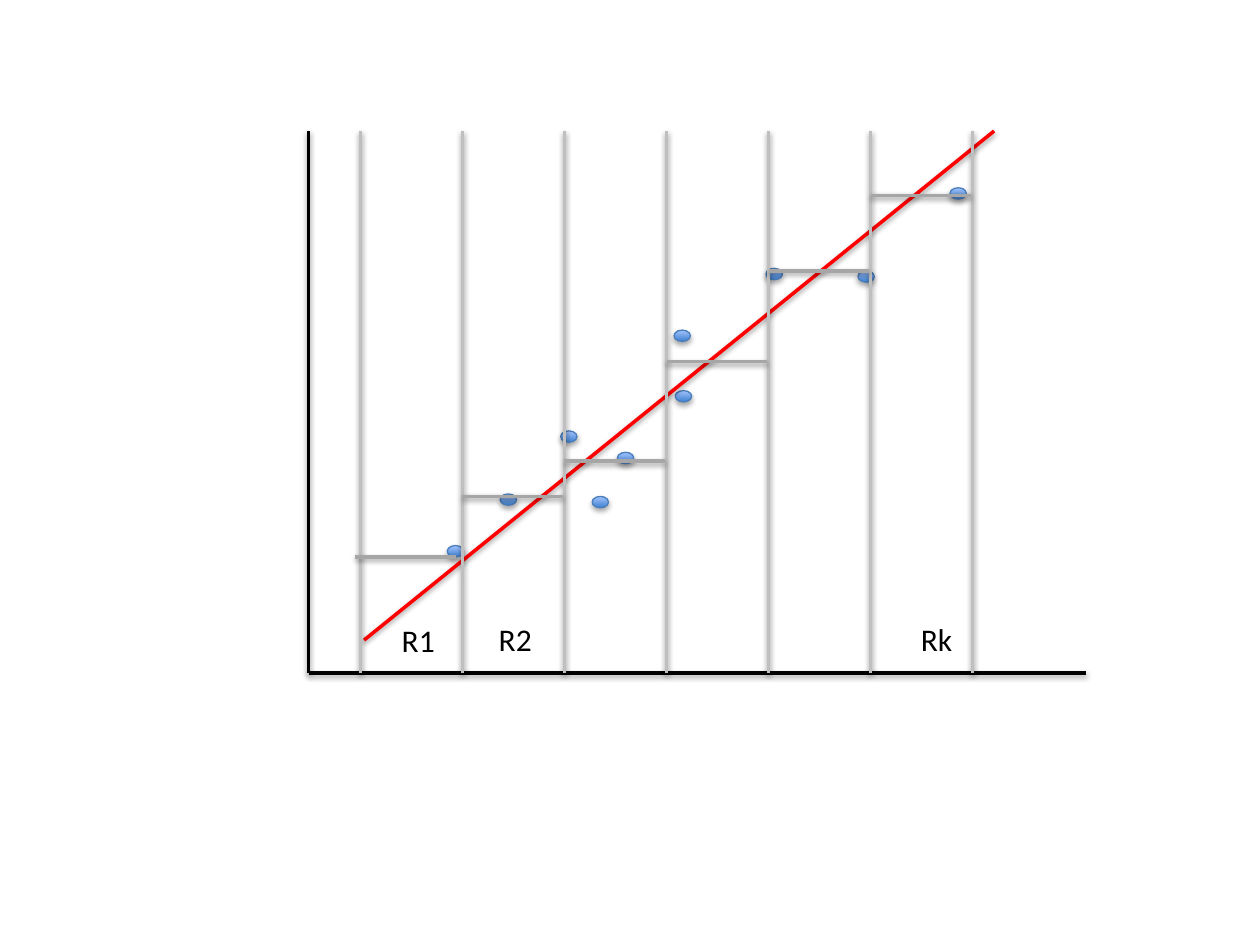
from lxml.etree import SubElement
from pptx import Presentation
from pptx.dml.color import RGBColor
from pptx.enum.shapes import MSO_CONNECTOR, MSO_SHAPE
from pptx.enum.text import MSO_AUTO_SIZE
from pptx.oxml.ns import qn
from pptx.util import Inches, Pt

# Plot geometry in inches
AXIS_LEFT, AXIS_RIGHT = 2.45, 8.62
PLOT_TOP, PLOT_BOTTOM = 1.04, 5.34
REGION_LEFT, REGION_WIDTH = 2.86, 0.81
REGION_COUNT = 6
DOT_WIDTH, DOT_HEIGHT = 0.13, 0.09

# Left and top of each data point
DOTS = [(3.55, 4.33), (4.7, 3.94), (3.97, 3.92), (4.45, 3.42), (4.9, 3.59),
        (5.36, 3.1), (5.35, 2.62), (6.08, 2.13), (6.81, 2.15), (7.54, 1.49)]
# Height of the mean line in each region, from left to right
MEANS = [4.42, 3.94, 3.66, 2.87, 2.15, 1.55]
# Text, left, top and width of each region label
LABELS = [("R1", 3.09, 4.88, 0.47), ("R2", 3.86, 4.87, 0.47), ("Rk", 7.21, 4.87, 0.45)]


def color(value):
    return RGBColor.from_string(value)


def region_edge(index):
    return REGION_LEFT + index * REGION_WIDTH


def add_shadow(shape, distance, opacity):
    """Give a shape or connector a soft black shadow below it."""
    effects = SubElement(shape.element.spPr, qn("a:effectLst"))
    shadow = SubElement(effects, qn("a:outerShdw"), blurRad=str(Pt(3.1)),
                        dist=str(Pt(distance)), dir="5400000", rotWithShape="0")
    black = SubElement(shadow, qn("a:srgbClr"), val="000000")
    SubElement(black, qn("a:alpha"), val=str(opacity * 1000))


def add_line(shapes, start, end, line_color):
    line = shapes.add_connector(MSO_CONNECTOR.STRAIGHT,
                                *map(Inches, (*start, *end)))
    line.line.color.rgb = color(line_color)
    line.line.width = Pt(2)
    add_shadow(line, 1.6, 38)


def add_dot(shapes, left, top):
    dot = shapes.add_shape(MSO_SHAPE.OVAL,
                           *map(Inches, (left, top, DOT_WIDTH, DOT_HEIGHT)))
    dot.fill.gradient()
    dot.fill.gradient_angle = 90
    for stop, stop_color in zip(dot.fill.gradient_stops, ("3F80CE", "A4C4FF")):
        stop.color.rgb = color(stop_color)
    for stop, position in zip(dot.fill.gradient_stops, (0, 1)):
        stop.position = position
    dot.line.color.rgb = color("4B7EBC")
    dot.line.width = Pt(0.75)
    add_shadow(dot, 1.8, 35)


def add_label(shapes, text, left, top, width):
    frame = shapes.add_textbox(*map(Inches, (left, top, width, 0.4))).text_frame
    frame.word_wrap = False
    frame.auto_size = MSO_AUTO_SIZE.SHAPE_TO_FIT_TEXT
    paragraph = frame.paragraphs[0]
    paragraph.text = text
    paragraph.font.name = "Calibri"
    paragraph.font.size = Pt(18)
    paragraph.font.color.rgb = color("000000")


def main():
    presentation = Presentation()
    presentation.slide_width, presentation.slide_height = Inches(10), Inches(7.5)
    slide = presentation.slides.add_slide(presentation.slide_layouts[6])
    shapes = slide.shapes.add_group_shape().shapes

    # Axes
    origin = (AXIS_LEFT, PLOT_BOTTOM)
    add_line(shapes, (AXIS_LEFT, PLOT_TOP), origin, "000000")
    add_line(shapes, origin, (AXIS_RIGHT, PLOT_BOTTOM), "000000")

    # Data points and regression line
    for left, top in DOTS:
        add_dot(shapes, left, top)
    add_line(shapes, (7.89, PLOT_TOP), (2.89, 5.08), "FF0000")

    # Region borders
    for index in range(REGION_COUNT + 1):
        edge = region_edge(index)
        add_line(shapes, (edge, PLOT_TOP), (edge, PLOT_BOTTOM), "BFBFBF")

    # Region labels
    for label in LABELS:
        add_label(shapes, *label)

    # Mean of each region; the first line starts a little further left
    for index, mean in enumerate(MEANS):
        left = region_edge(index) - (0.04 if index == 0 else 0)
        add_line(shapes, (left, mean), (left + 0.8, mean), "A6A6A6")

    presentation.save("out.pptx")


if __name__ == "__main__":
    main()
